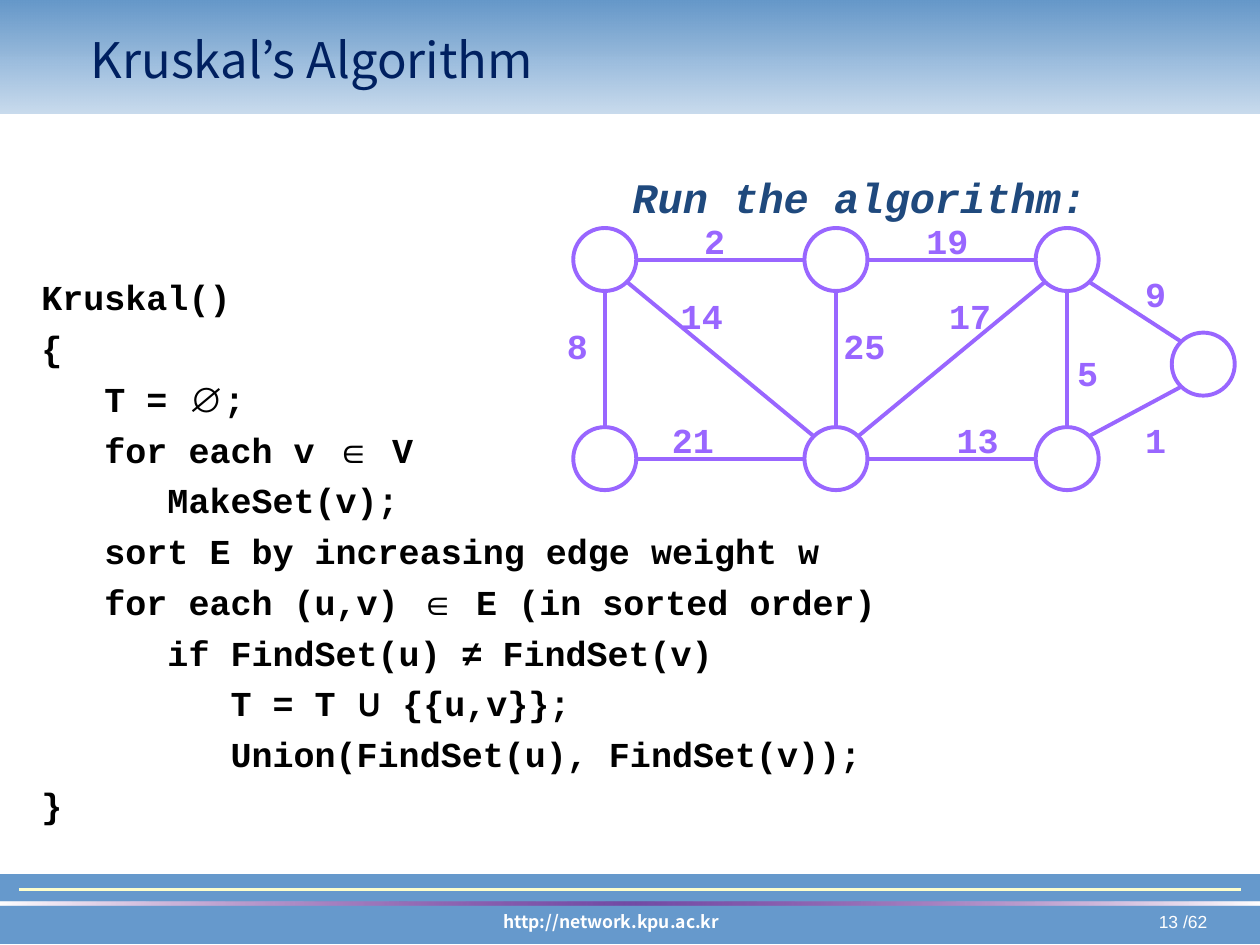
import math

from lxml import etree
from pptx import Presentation
from pptx.dml.color import RGBColor
from pptx.enum.shapes import MSO_CONNECTOR, MSO_SHAPE
from pptx.enum.text import MSO_ANCHOR, MSO_AUTO_SIZE, PP_ALIGN
from pptx.oxml.ns import qn
from pptx.util import Inches, Pt

RECTANGLE, CIRCLE = MSO_SHAPE.RECTANGLE, MSO_SHAPE.OVAL
STRAIGHT = MSO_CONNECTOR.STRAIGHT
LEFT, CENTER, RIGHT = PP_ALIGN.LEFT, PP_ALIGN.CENTER, PP_ALIGN.RIGHT
MIDDLE = MSO_ANCHOR.MIDDLE
GROW = MSO_AUTO_SIZE.SHAPE_TO_FIT_TEXT

WHITE = RGBColor(0xFF, 0xFF, 0xFF)
BLACK = RGBColor(0, 0, 0)
BLUE = RGBColor(0x66, 0x99, 0xCC)
HEADER_BLUE = RGBColor(0x64, 0x97, 0xC9)
CREAM = RGBColor(0xFF, 0xFF, 0xCC)
PURPLE = RGBColor(0x80, 0x00, 0x80)
VIOLET = RGBColor(0x99, 0x66, 0xFF)
NAVY = RGBColor(0x00, 0x20, 0x60)
DARK_BLUE = RGBColor(0x1F, 0x49, 0x7D)

SANS, CODE, SYMBOL, UNION = "Noto Sans CJK KR", "Courier New", "Arial", "Karla"
WIDTH, HEIGHT = 10, 7.5

# Every second part of a line is a mathematical symbol.
CODE_LINES = [
    ("Kruskal()",),
    ("{",),
    ("   T = ", "∅", ";"),
    ("   for each v ", "∈", " V"),
    ("      MakeSet(v);",),
    ("   sort E by increasing edge weight w",),
    ("   for each (u,v) ", "∈", " E (in sorted order)"),
    ("      if FindSet(u) ", "≠", " FindSet(v)"),
    ("         T = T ", "U", " {{u,v}};"),
    ("         Union(FindSet(u), FindSet(v));",),
    ("}",),
]

# Vertices stand on a grid of three columns and two rows, with one at the right.
COLUMN_X, COLUMN_STEP = 4.8, 1.835
ROW_Y, ROW_STEP = 2.06, 1.58
DIAMETER, EDGE_GAP = 0.5, 0.26
VERTICES = {
    name: (COLUMN_X + column * COLUMN_STEP, ROW_Y + row * ROW_STEP)
    for name, column, row in [("a", 0, 0), ("b", 1, 0), ("c", 2, 0),
                              ("d", 0, 1), ("e", 1, 1), ("f", 2, 1)]
}
VERTICES["g"] = (9.55, 2.89)

# Start, end, weight, centre of the weight label
EDGES = [
    ("a", "b", 2, 5.67, 1.91),
    ("b", "c", 19, 7.52, 1.91),
    ("c", "e", 17, 7.7, 2.51),
    ("e", "d", 21, 5.5, 3.49),
    ("d", "a", 8, 4.58, 2.75),
    ("a", "e", 14, 5.57, 2.51),
    ("e", "b", 25, 6.86, 2.75),
    ("e", "f", 13, 7.76, 3.49),
    ("f", "c", 5, 8.63, 2.96),
    ("c", "g", 9, 9.17, 2.33),
    ("f", "g", 1, 9.17, 3.49),
]


def set_font(para, name, size, color, bold=False, italic=False):
    font = para.font
    font.name, font.size = name, Pt(size)
    font.bold, font.italic = bold, italic
    font.color.rgb = color


def add_text(shapes, text, left, top, width, height, align, *style, wrap=True):
    box = shapes.add_textbox(*map(Inches, (left, top, width, height)))
    box.text_frame.word_wrap = wrap
    box.text_frame.auto_size = GROW
    para = box.text_frame.paragraphs[0]
    para.text = text
    para.alignment = align
    set_font(para, *style)


def add_shape(shapes, kind, left, top, width, height, fill, line=None, weight=0):
    shape = shapes.add_shape(kind, *map(Inches, (left, top, width, height)))
    shape.shadow.inherit = False
    shape.fill.solid()
    shape.fill.fore_color.rgb = fill
    if line is None:
        shape.line.fill.background()
    else:
        shape.line.color.rgb = line
        shape.line.width = Pt(weight)
    return shape


def add_line(shapes, start, end, color, weight):
    line = shapes.add_connector(STRAIGHT, *map(Inches, (*start, *end)))
    line.line.color.rgb = color
    line.line.width = Pt(weight)
    etree.SubElement(line.element.spPr, qn("a:effectLst"))


def set_gradient(shape, angle, stops):
    """Fill with stops of (position, colour, opacity), all but colour in percent."""
    shape.fill.gradient()
    shape.fill.gradient_angle = angle
    stop_list = shape.element.spPr.find(".//" + qn("a:gsLst"))
    for old_stop in list(stop_list):
        stop_list.remove(old_stop)
    for position, color, opacity in stops:
        stop = etree.SubElement(stop_list, qn("a:gs"), pos=str(position * 1000))
        tint = etree.SubElement(stop, qn("a:srgbClr"), val=str(color))
        etree.SubElement(tint, qn("a:alpha"), val=str(opacity * 1000))


def add_frame(shapes):
    """Header band and footer with its address and page number."""
    add_shape(shapes, RECTANGLE, 0, 6.94, WIDTH, 0.55, BLUE, BLUE, 0.75)
    add_text(shapes, "13 /62", 7.42, 7.18, 2.26, 0.27, RIGHT, SYMBOL, 10, WHITE)
    add_text(shapes, "http://network.kpu.ac.kr", 2.27, 7.18, 5.16, 0.27,
             CENTER, SANS, 10, WHITE, True)
    add_line(shapes, (0.15, 7.06), (WIDTH - 0.15, 7.06), CREAM, 1.5)
    header = add_shape(shapes, RECTANGLE, 0, 0, WIDTH, 0.9, BLUE)
    set_gradient(header, 90, [(0, BLUE, 35), (100, HEADER_BLUE, 100)])
    stripe = add_shape(shapes, RECTANGLE, 0, 7.16, WIDTH, 0.03, WHITE)
    set_gradient(stripe, 0, [(0, WHITE, 100), (50, PURPLE, 50), (100, WHITE, 100)])


def set_title(page, text):
    title = page.shapes.title
    title.left, title.top, title.width, title.height = map(
        Inches, (0.62, 0.16, 8.44, 0.62))
    title.text_frame.text = text
    title.text_frame.vertical_anchor = MIDDLE
    para = title.text_frame.paragraphs[0]
    para.alignment = LEFT
    set_font(para, SANS, 28, NAVY)
    title.element.getparent().append(title.element)  # in front of the header


def add_code(shapes):
    box = shapes.add_textbox(*map(Inches, (0.23, 2.15, 9.45, 4.65)))
    frame = box.text_frame
    frame.word_wrap = True
    frame.margin_top = Inches(0.04)
    for index, parts in enumerate(CODE_LINES):
        para = frame.add_paragraph() if index else frame.paragraphs[0]
        para.space_before = Pt(5 if index else 0)
        set_font(para, CODE, 20, BLACK, True)
        for position, part in enumerate(parts):
            span = para.add_run()
            span.text = part
            if position % 2:
                span.font.name = UNION if part == "U" else SYMBOL
                span.font.bold = part != "∈"


def edge_end(vertex, other):
    """Point beside a vertex, on the side or the diagonal facing the other one."""
    (x, y), (other_x, other_y) = vertex, other
    step_x = (other_x > x) - (other_x < x)
    step_y = (other_y > y) - (other_y < y)
    reach = EDGE_GAP / math.hypot(step_x, step_y)
    return x + step_x * reach, y + step_y * reach


def add_graph(shapes):
    for x, y in VERTICES.values():
        add_shape(shapes, CIRCLE, x - DIAMETER / 2, y - DIAMETER / 2,
                  DIAMETER, DIAMETER, WHITE, VIOLET, 2.25)
    for start_name, end_name, weight, x, y in EDGES:
        start, end = VERTICES[start_name], VERTICES[end_name]
        add_line(shapes, edge_end(start, end), edge_end(end, start), VIOLET, 2.25)
        width = 0.36 if weight < 10 else 0.54
        add_text(shapes, str(weight), x - width / 2, y - 0.22, width, 0.44,
                 CENTER, CODE, 20, VIOLET, True, wrap=False)
    add_text(shapes, "Run the algorithm:", 4.92, 1.31, 3.8, 0.5,
             CENTER, CODE, 24, DARK_BLUE, True, True, wrap=False)


def main():
    deck = Presentation()
    deck.slide_width, deck.slide_height = Inches(WIDTH), Inches(HEIGHT)
    page = deck.slides.add_slide(deck.slide_layouts[5])
    add_frame(page.shapes)
    set_title(page, "Kruskal’s Algorithm")
    add_code(page.shapes)
    add_graph(page.shapes.add_group_shape().shapes)
    deck.save("out.pptx")


if __name__ == "__main__":
    main()
